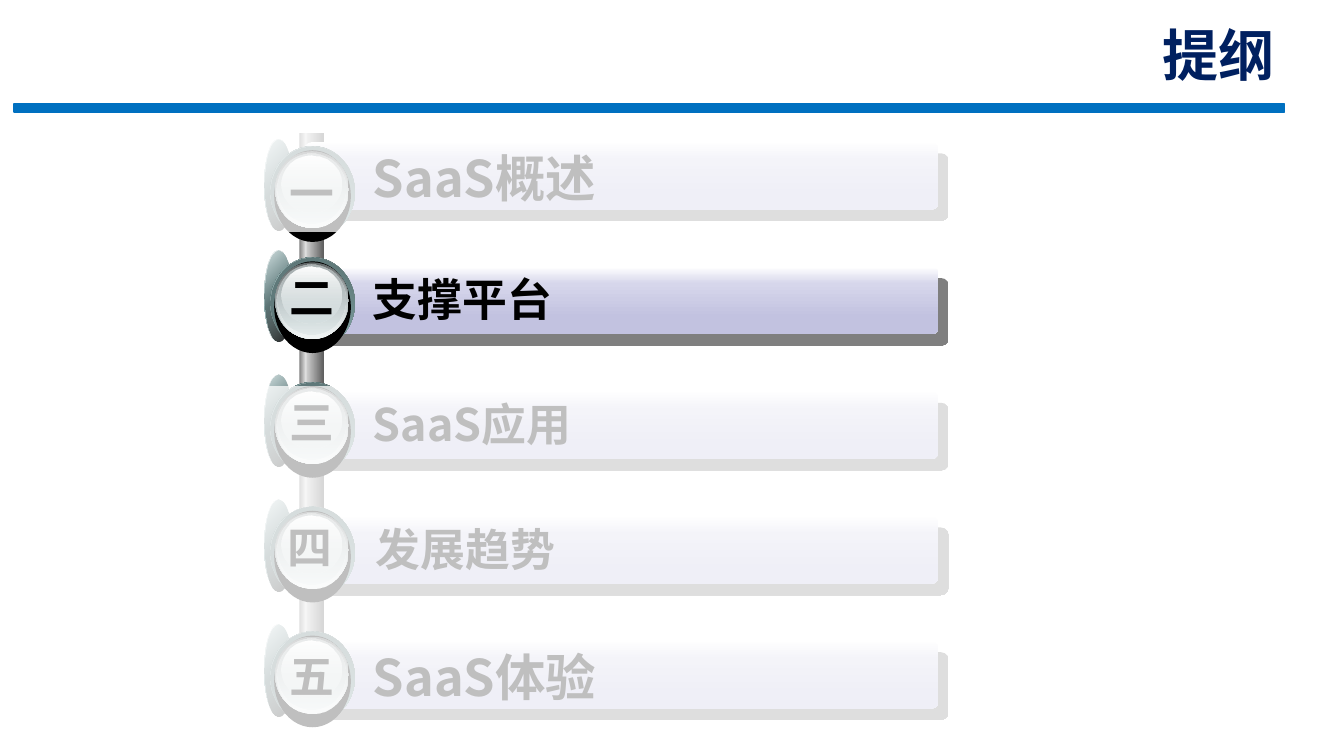
from dataclasses import dataclass
from typing import NamedTuple

from lxml import etree
from pptx import Presentation
from pptx.dml.color import RGBColor
from pptx.enum.shapes import MSO_SHAPE
from pptx.enum.text import MSO_ANCHOR, MSO_AUTO_SIZE, PP_ALIGN
from pptx.oxml.ns import qn
from pptx.util import Inches, Pt

# The slide is a grid of 1333 columns by 750 rows.
CELL = Inches(0.01)
COLUMNS, ROWS = 1333, 750
PITCH = 123.75
FIRST_BAR_TOP = 141

RECTANGLE, ROUNDED, ELLIPSE = MSO_SHAPE.RECTANGLE, MSO_SHAPE.ROUNDED_RECTANGLE, MSO_SHAPE.OVAL
LEFT, RIGHT = PP_ALIGN.LEFT, PP_ALIGN.RIGHT
TOP, BOTTOM = MSO_ANCHOR.TOP, MSO_ANCHOR.BOTTOM
GROW = MSO_AUTO_SIZE.SHAPE_TO_FIT_TEXT

WHITE = RGBColor(0xFF, 0xFF, 0xFF)
BLACK = RGBColor(0x00, 0x00, 0x00)
NAVY = RGBColor(0x00, 0x20, 0x60)
BLUE = RGBColor(0x00, 0x70, 0xC0)
LILAC = RGBColor(0xD6, 0xD6, 0xEB)
LAVENDER = RGBColor(0xC2, 0xC2, 0xE0)
TEAL = RGBColor(0x83, 0xA6, 0xA7)
DARK_TEAL = RGBColor(0x47, 0x5A, 0x5A)
MID_TEAL = RGBColor(0x53, 0x69, 0x6A)
MIST = RGBColor(0xD6, 0xE1, 0xE2)
PALE_MIST = RGBColor(0xF1, 0xF5, 0xF5)
SLATE = RGBColor(0x63, 0x68, 0x69)
ASH = RGBColor(0xAA, 0xB2, 0xB3)
RAIL_GRAY = RGBColor(0x80, 0x80, 0x80)
RAIL_LIGHT = RGBColor(0xEC, 0xEC, 0xEC)
RAIL_SILVER = RGBColor(0xCF, 0xCF, 0xCF)
RAIL_DARK = RGBColor(0x5F, 0x5F, 0x5F)

CJK_FONT, TITLE_FONT = "Noto Sans CJK SC", "Roboto"


class Area(NamedTuple):
    left: float
    top: float
    width: float
    height: float


class Stop(NamedTuple):
    position: int
    color: RGBColor
    alpha: int = 100


class Fill(NamedTuple):
    angle: int
    stops: tuple


class Layer(NamedTuple):
    """One ellipse of a badge; its top is measured from the badge's top."""
    area: Area
    fill: Fill


@dataclass
class Item:
    numeral: str
    label: str
    badge_drop: float = -16.5
    numeral_drop: float = -2
    size: int = 32
    label_height: float = 64
    bar_left: float = 302
    label_left: float = 360
    numeral_left: float = 277


ITEMS = (
    Item("一", "SaaS概述", badge_drop=-3, numeral_drop=18, size=36, label_height=128),
    Item("二", "支撑平台"),
    Item("三", "SaaS应用"),
    Item("四", "发展趋势", bar_left=293, label_left=363, numeral_left=275),
    Item("五", "SaaS体验", numeral_drop=3, size=36, label_height=125),
)

BAR_RIGHT = 931
BAR_FILL = Fill(90, (Stop(0, WHITE), Stop(25, LILAC), Stop(75, LAVENDER)))
BADGE = (
    Layer(Area(262, 0, 28, 91), Fill(45, (Stop(0, WHITE), Stop(50, TEAL), Stop(100, WHITE)))),
    Layer(Area(262, 0, 28, 91), Fill(45, (Stop(0, TEAL, 32), Stop(100, BLACK, 90)))),
    Layer(Area(268, 7, 84, 91),
          Fill(315, (Stop(0, DARK_TEAL), Stop(50, TEAL), Stop(100, DARK_TEAL)))),
    Layer(Area(268, 7, 84, 91), Fill(45, (Stop(0, MID_TEAL), Stop(100, TEAL, 0)))),
    Layer(Area(272, 11, 76, 91), Fill(0, (Stop(0, BLACK),))),
    Layer(Area(273, 12, 73, 76), Fill(90, (Stop(0, SLATE), Stop(100, MIST)))),
    Layer(Area(274, 13, 71, 75), Fill(90, (Stop(0, MIST, 0), Stop(100, PALE_MIST)))),
    Layer(Area(275, 14, 68, 70), Fill(90, (Stop(0, ASH), Stop(100, MIST, 48)))),
    Layer(Area(279, 16, 60, 57), Fill(90, (Stop(0, WHITE), Stop(100, MIST, 38)))),
)
RAILS = (
    (Area(23, 406, 555, 7), Fill(90, (Stop(0, RAIL_GRAY), Stop(100, RAIL_LIGHT)))),
    (Area(35, 401, 555, 17), Fill(90, (Stop(0, RAIL_SILVER), Stop(100, RAIL_DARK)))),
)
VEIL_FILL = Fill(0, (Stop(0, WHITE, 75),))
VEILS = (Area(159, 383, 906, 347), Area(166, 115, 906, 115))


def place(area: Area) -> list[int]:
    return [round(length * CELL) for length in area]


def add_color(parent, color: RGBColor, alpha: int) -> None:
    node = etree.SubElement(parent, qn("a:srgbClr"), val=str(color))
    if alpha < 100:
        etree.SubElement(node, qn("a:alpha"), val=str(alpha * 1000))


def add_filled(shapes, kind, area: Area, fill: Fill):
    """Add an unlined shape; a fill with a single stop is solid."""
    shape = shapes.add_shape(kind, *place(area))
    shape.shadow.inherit = False
    shape.line.fill.background()
    if len(fill.stops) == 1:
        paint = etree.Element(qn("a:solidFill"))
        add_color(paint, fill.stops[0].color, fill.stops[0].alpha)
    else:
        paint = etree.Element(qn("a:gradFill"), rotWithShape="1")
        stop_list = etree.SubElement(paint, qn("a:gsLst"))
        for stop in fill.stops:
            node = etree.SubElement(stop_list, qn("a:gs"), pos=str(stop.position * 1000))
            add_color(node, stop.color, stop.alpha)
        etree.SubElement(paint, qn("a:lin"), ang=str(fill.angle * 60000), scaled="0")
    shape._element.spPr.find(qn("a:prstGeom")).addnext(paint)
    return shape


def add_text(shapes, area: Area, text: str, size: int, color: RGBColor = BLACK,
             font: str = CJK_FONT, align=LEFT, anchor=TOP, wrap: bool = True):
    box = shapes.add_textbox(*place(area))
    frame = box.text_frame
    frame.word_wrap = wrap
    frame.vertical_anchor = anchor
    para = frame.paragraphs[0]
    para.text = text
    para.alignment = align
    para.font.size = Pt(size)
    para.font.bold = True
    para.font.color.rgb = color
    para.font.name = font
    defaults = para._p.pPr.find(qn("a:defRPr"))
    etree.SubElement(defaults, qn("a:ea"), typeface=CJK_FONT)
    return box


def add_bar(shapes, area: Area) -> None:
    bar = add_filled(shapes, ROUNDED, area, BAR_FILL)
    bar.adjustments[0] = 0.11
    effects = bar._element.spPr.find(qn("a:effectLst"))
    shadow = etree.SubElement(effects, qn("a:outerShdw"), blurRad="0", dist=str(Pt(10.6)),
                              dir=str(49 * 60000), algn="ctr", rotWithShape="0")
    add_color(shadow, BLACK, 50)


def add_item(page, item: Item, bar_top: float) -> None:
    shapes = page.shapes.add_group_shape().shapes
    add_bar(shapes, Area(item.bar_left, bar_top, BAR_RIGHT - item.bar_left, 67))
    label = add_text(shapes, Area(item.label_left, bar_top, 517, item.label_height),
                     item.label, item.size)
    label.text_frame.auto_size = GROW
    badge_top = bar_top + item.badge_drop
    for layer in BADGE:
        area = layer.area._replace(top=badge_top + layer.area.top)
        add_filled(shapes, ELLIPSE, area, layer.fill)
    numeral = add_text(shapes, Area(item.numeral_left, bar_top + item.numeral_drop, 63, 64),
                       item.numeral, 32, wrap=False)
    numeral.text_frame.auto_size = GROW


def main() -> None:
    deck = Presentation()
    deck.slide_width, deck.slide_height = COLUMNS * CELL, ROWS * CELL
    page = deck.slides.add_slide(deck.slide_layouts[6])
    rule = add_filled(page.shapes, RECTANGLE, Area(14, 103, 1260, 8), Fill(0, (Stop(0, BLUE),)))
    rule.line.color.rgb = BLUE
    rule.line.width = Pt(1)
    add_text(page.shapes, Area(641, 34, 633, 58), "提纲", 40, NAVY, TITLE_FONT, RIGHT, BOTTOM)
    for area, fill in RAILS:
        add_filled(page.shapes, RECTANGLE, area, fill).rotation = 270
    for index, item in enumerate(ITEMS):
        add_item(page, item, FIRST_BAR_TOP + index * PITCH)
    for area in VEILS:
        add_filled(page.shapes, RECTANGLE, area, VEIL_FILL)
    deck.save("out.pptx")


if __name__ == "__main__":
    main()
